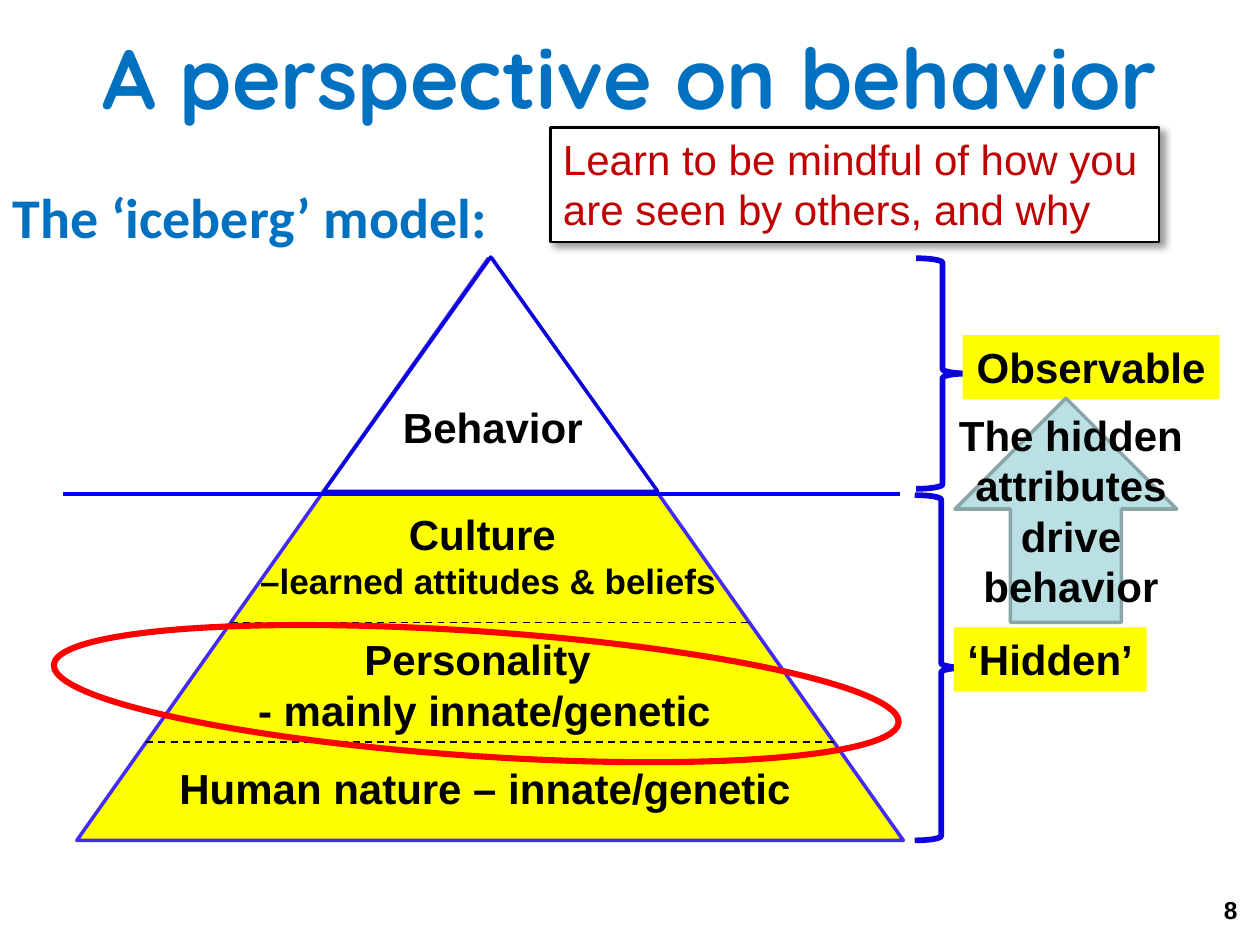
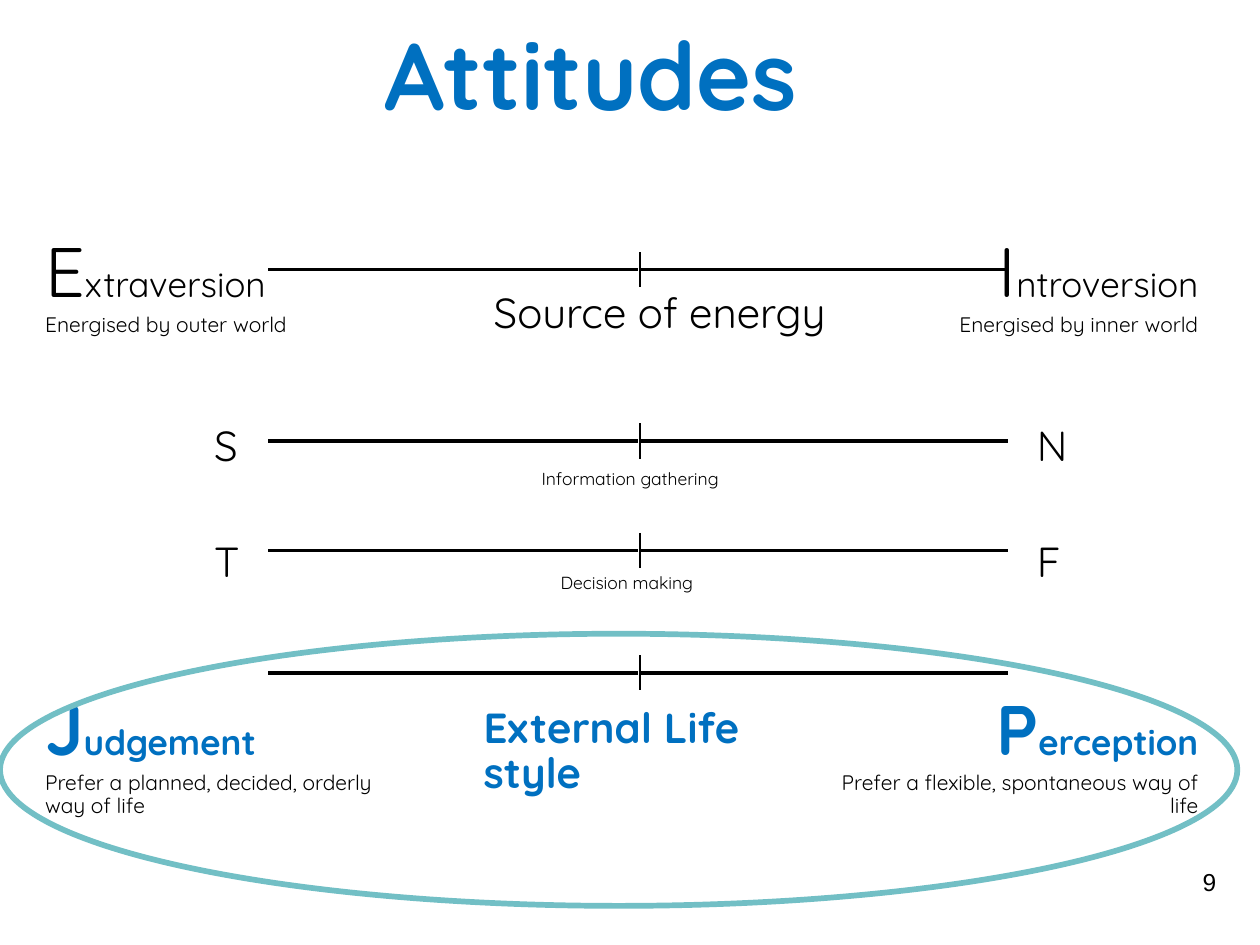
import dataclasses

import lxml.etree
import pptx
import pptx.dml.color
import pptx.enum.dml
import pptx.enum.shapes
import pptx.enum.text
import pptx.oxml.ns
import pptx.util

SHAPE = pptx.enum.shapes.MSO_SHAPE
ALIGN = {
    "left": pptx.enum.text.PP_ALIGN.LEFT,
    "center": pptx.enum.text.PP_ALIGN.CENTER,
    "right": pptx.enum.text.PP_ALIGN.RIGHT,
}
ANCHOR = pptx.enum.text.MSO_ANCHOR
COLUMNS, ROWS = 10, 7.5


@dataclasses.dataclass(frozen=True)
class Theme:
    ink: str = "000000"
    paper: str = "FFFFFF"
    heading: str = "0070C0"
    warning: str = "C00000"
    highlight: str = "FFFF00"
    outline: str = "432BF7"
    brace: str = "0C02DE"
    waterline: str = "0000FF"
    focus: str = "FF0000"
    arrow: str = "BBE0E3"
    arrow_edge: str = "8AA6A8"
    lifestyle: str = "72BFC5"
    body_font: str = "Arial"
    display_font: str = "Quicksand"
    subtitle_font: str = "Calibri"
    big_title: int = 54
    title: int = 48
    initial: int = 40
    subtitle: int = 32
    gap: int = 28
    body: int = 24
    term: int = 20
    footer: int = 14
    note: int = 12
    caption: int = 10


def rgb(value):
    return pptx.dml.color.RGBColor.from_string(value)


def write(frame, text, *, size, font, color, bold=False, align="left",
          wrap=True, anchor=ANCHOR.TOP, spacing=None, before=0):
    """Fill a frame; text is a string, or paragraphs of (text, overrides) runs."""
    frame.word_wrap = wrap
    frame.vertical_anchor = anchor
    paragraphs = [[(text, {})]] if isinstance(text, str) else text
    for index, runs in enumerate(paragraphs):
        paragraph = frame.add_paragraph() if index else frame.paragraphs[0]
        paragraph.alignment = ALIGN[align]
        paragraph.line_spacing = spacing
        paragraph.space_before = pptx.util.Pt(before if index else 0)
        for words, overrides in runs:
            look = {"size": size, "color": color, "bold": bold, **overrides}
            if words == "\n":
                paragraph.add_line_break()
                continue
            run = paragraph.add_run()
            run.text = words
            run.font.name = font
            run.font.size = pptx.util.Pt(look["size"])
            run.font.bold = look["bold"]
            run.font.color.rgb = rgb(look["color"])


class Deck:
    def __init__(self, theme):
        self.theme = theme
        self.presentation = pptx.Presentation()
        self.presentation.slide_width = pptx.util.Inches(10)
        self.presentation.slide_height = pptx.util.Inches(7.5)
        self.slide = None

    def grid(self, *lengths):
        """Turn alternating columns and rows into slide lengths."""
        column = self.presentation.slide_width / COLUMNS
        row = self.presentation.slide_height / ROWS
        return [round(n * (row if i % 2 else column))
                for i, n in enumerate(lengths)]

    def new_slide(self):
        self.slide = self.presentation.slides.add_slide(
            self.presentation.slide_layouts[6])

    def text(self, box, content, **style):
        textbox = self.slide.shapes.add_textbox(*self.grid(*box))
        defaults = {"size": self.theme.body, "font": self.theme.body_font,
                    "color": self.theme.ink}
        write(textbox.text_frame, content, **{**defaults, **style})

    def title(self, box, content, **style):
        self.text(box, content, **{
            "size": self.theme.title, "font": self.theme.display_font,
            "color": self.theme.heading, "bold": True, **style})

    def display(self, box, content, **style):
        self.text(box, content, font=self.theme.display_font, **style)

    def page_number(self, box, number, **style):
        self.text(box, number, size=self.theme.footer, align="right", **style)

    def shape(self, kind, box, fill=None, line=None, width=2, rotation=0):
        shape = self.slide.shapes.add_shape(kind, *self.grid(*box))
        shape.shadow.inherit = False
        shape.rotation = rotation
        if fill:
            shape.fill.solid()
            shape.fill.fore_color.rgb = rgb(fill)
        else:
            shape.fill.background()
        if line:
            shape.line.color.rgb = rgb(line)
            shape.line.width = pptx.util.Pt(width)
        else:
            shape.line.fill.background()
        return shape

    def panel(self, box, content, fill, line=None, width=1.5, **style):
        panel = self.shape(SHAPE.RECTANGLE, box, fill, line, width)
        defaults = {"size": self.theme.body, "font": self.theme.body_font,
                    "color": self.theme.ink}
        write(panel.text_frame, content, **{**defaults, **style})
        return panel

    def line(self, start, end, color=None, width=1.0, dashed=False):
        line = self.slide.shapes.add_connector(
            pptx.enum.shapes.MSO_CONNECTOR.STRAIGHT, *self.grid(*start, *end))
        line.line.color.rgb = rgb(color or self.theme.ink)
        line.line.width = pptx.util.Pt(width)
        if dashed:
            line.line.dash_style = pptx.enum.dml.MSO_LINE.DASH
        lxml.etree.SubElement(line._element.spPr,
                              pptx.oxml.ns.qn("a:effectLst"))

    def drop_shadow(self, shape, blur=4, distance=3, degrees=45, opacity=40):
        qn = pptx.oxml.ns.qn
        effects = shape._element.spPr.find(qn("a:effectLst"))
        shadow = lxml.etree.SubElement(
            effects, qn("a:outerShdw"), blurRad=str(pptx.util.Pt(blur)),
            dist=str(pptx.util.Pt(distance)), dir=str(degrees * 60000),
            algn="tl", rotWithShape="0")
        color = lxml.etree.SubElement(shadow, qn("a:srgbClr"),
                                      val=self.theme.ink)
        lxml.etree.SubElement(color, qn("a:alpha"), val=str(opacity * 1000))

    def axis(self, y, left=2.13, middle=5.07, right=8, tick=0.14):
        """Draw a scale in two halves with a tick where they meet."""
        self.line((left, y), (middle - 0.01, y), width=2)
        self.line((middle, y), (right, y), width=2)
        self.line((middle + 0.01, y - tick), (middle + 0.01, y + tick))

    def pole(self, box, term, note, align, **accent):
        """Write one end of a scale: a term with a large initial, and a note."""
        theme = self.theme
        self.display(box, [
            [(term[0], {"size": theme.initial, **accent}),
             (term[1:], {"size": theme.term, **accent})],
            [(note, {"size": theme.note})],
        ], align=align, spacing=0.9, before=1)


def build_iceberg(deck):
    theme = deck.theme
    deck.new_slide()
    left, top, width, height = iceberg = (0.61, 2.03, 6.56, 4.64)
    deck.shape(SHAPE.ISOSCELES_TRIANGLE, iceberg, theme.highlight,
               theme.outline)
    center = left + width / 2
    for layer in (4.94, 5.89):
        reach = width / 2 * (layer - top) / height
        deck.line((center - reach, layer), (center + reach, layer),
                  dashed=True)
    deck.panel((0, 1.4, 7.92, 0.64), "The ‘iceberg’ model:", theme.paper,
               size=theme.subtitle, font=theme.subtitle_font,
               color=theme.heading, bold=True)
    deck.line((0.5, 3.92), (7.14, 3.92), theme.waterline, 2.25)

    zones = [
        ((7.27, 2.05, 0.42, 1.83), (7.64, 2.66, 2.04, 0.51), "Observable"),
        ((7.26, 3.93, 0.42, 2.74), (7.57, 4.98, 1.53, 0.51), "‘Hidden’"),
    ]
    for brace, label, name in zones:
        deck.shape(SHAPE.RIGHT_BRACE, brace, line=theme.brace, width=3.25)
        deck.panel(label, name, theme.highlight, bold=True, align="center",
                   wrap=False)

    centered = {"bold": True, "align": "center"}
    deck.text((1.93, 4.92, 3.83, 0.98), [[
        ("Personality", {}), (" ", {"size": theme.gap}), ("\n", {}),
        ("- mainly innate/genetic", {})]], wrap=False, **centered)
    deck.text((1.58, 3.99, 4.59, 0.84), [[
        ("Culture ", {}), ("\n", {}),
        ("–learned attitudes & beliefs", {"size": theme.term})]], **centered)
    deck.text((1.3, 6, 5.1, 0.51), "Human nature – innate/genetic",
              wrap=False, **centered)

    advice = deck.panel(
        (4.37, 1.01, 4.83, 0.91),
        "Learn to be mindful of how you are seen by others, and why",
        theme.paper, theme.ink, color=theme.warning)
    deck.drop_shadow(advice)
    deck.title((0, 0.15, 10, 1.25), "A perspective on behavior",
               align="center")
    deck.shape(SHAPE.UP_ARROW, (7.58, 3.16, 1.76, 1.78), theme.arrow,
               theme.arrow_edge)
    deck.text((7.27, 3.2, 2.46, 1.72), "The hidden attributes drive behavior",
              **centered)
    deck.page_number((9.34, 7.05, 0.58, 0.45), "8", bold=True)
    deck.shape(SHAPE.OVAL, (0.42, 5.01, 6.72, 0.99), line=theme.focus,
               width=3.5, rotation=3.9)
    deck.shape(SHAPE.ISOSCELES_TRIANGLE, (2.57, 2.04, 2.65, 1.86),
               theme.paper, theme.brace)
    deck.text((3.1, 3.14, 1.64, 0.5), "Behavior", bold=True, wrap=False)


def build_attitudes(deck):
    theme = deck.theme
    deck.new_slide()
    accent = {"color": theme.heading, "bold": True}
    pole_rows = [
        (1.83, {}, ("Extraversion", "Energised by outer world"),
         ("Introversion", "Energised by inner world")),
        (5.47, accent,
         ("Judgement", "Prefer a planned, decided, orderly way of life"),
         ("Perception", "Prefer a flexible, spontaneous way of life")),
    ]
    for top, emphasis, first, second in pole_rows:
        deck.pole((0.26, top, 3.08, 1.3), *first, "left", **emphasis)
        deck.pole((6.47, top, 3.14, 1.3), *second, "right", **emphasis)

    for y in (2.14, 3.5, 4.37, 5.34):
        deck.axis(y)

    captions = [
        ((3.82, 2.27, 3, 0.46), "Source of energy", {"wrap": False}),
        ((4.2, 3.68, 1.68, 0.25), "Information gathering",
         {"size": theme.caption, "wrap": False}),
        ((4.35, 4.51, 1.32, 0.25), "Decision making",
         {"size": theme.caption, "wrap": False}),
        ((3.74, 5.56, 2.96, 0.85), "External Life style", accent),
    ]
    for box, caption, style in captions:
        deck.display(box, caption, spacing=0.9, **style)

    for top, letters in ((3.28, "SN"), (4.2, "TF")):
        for x, letter in zip((1.6, 8.13), letters):
            deck.display((x, top, 0.39, 0.4), letter)

    deck.shape(SHAPE.OVAL, (0, 5.03, 9.82, 2.16), line=theme.lifestyle,
               width=3.25)
    deck.page_number((9.33, 6.83, 0.42, 0.52), "9")
    deck.title((2.95, 0, 5.1, 1.15), "Attitudes", size=theme.big_title,
               anchor=ANCHOR.MIDDLE)


def main():
    deck = Deck(Theme())
    build_iceberg(deck)
    build_attitudes(deck)
    deck.presentation.save("out.pptx")


if __name__ == "__main__":
    main()
